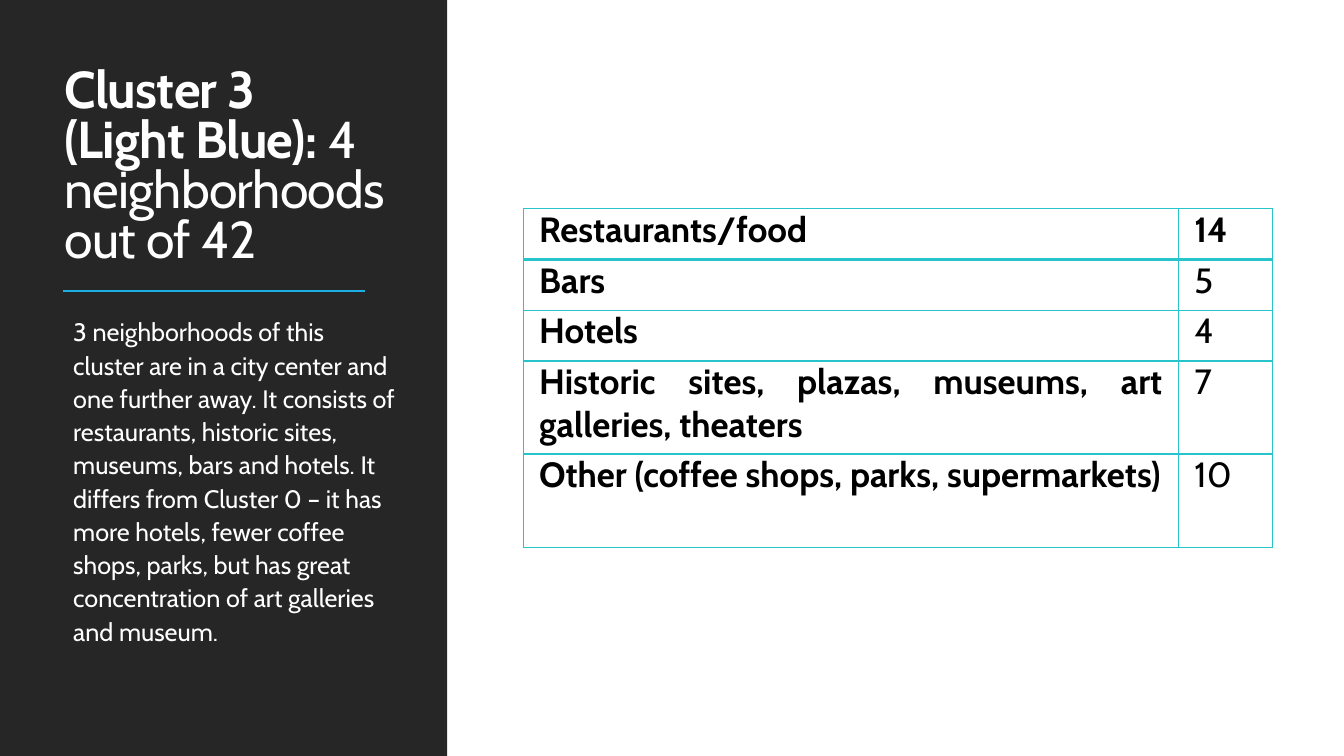
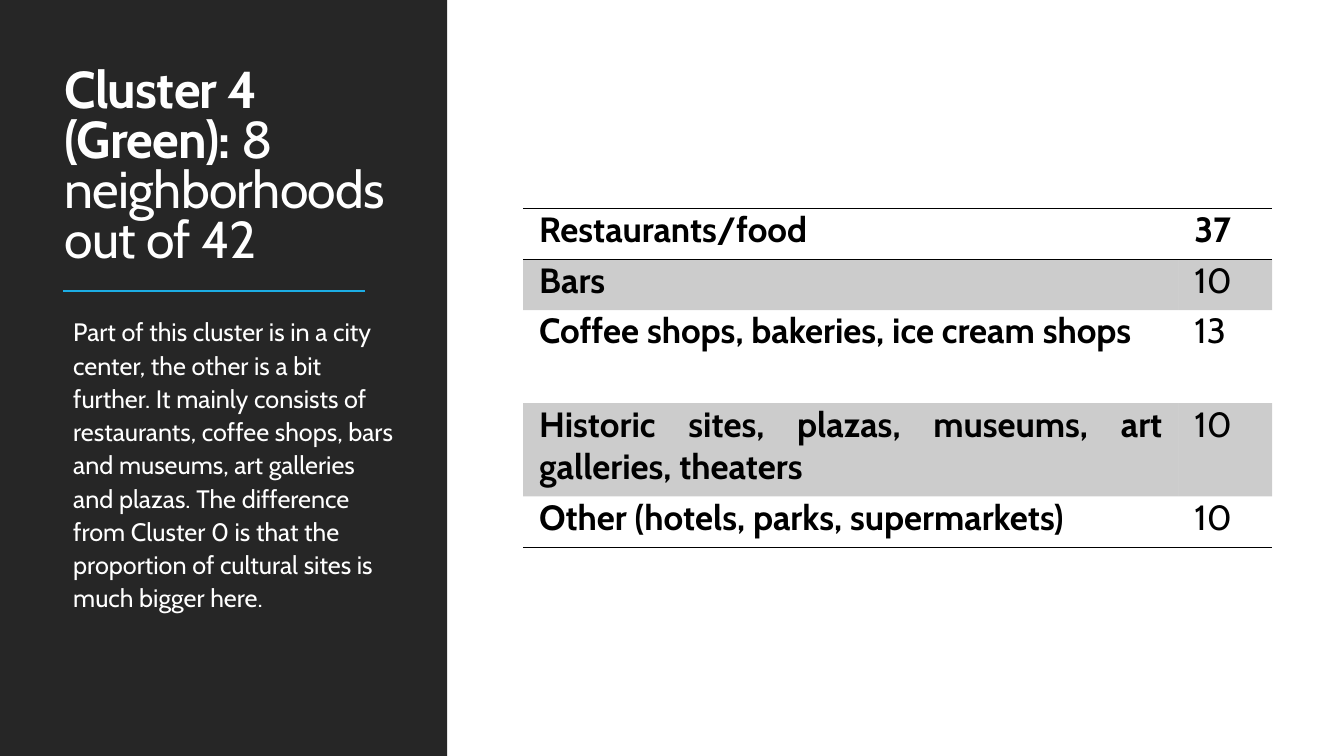
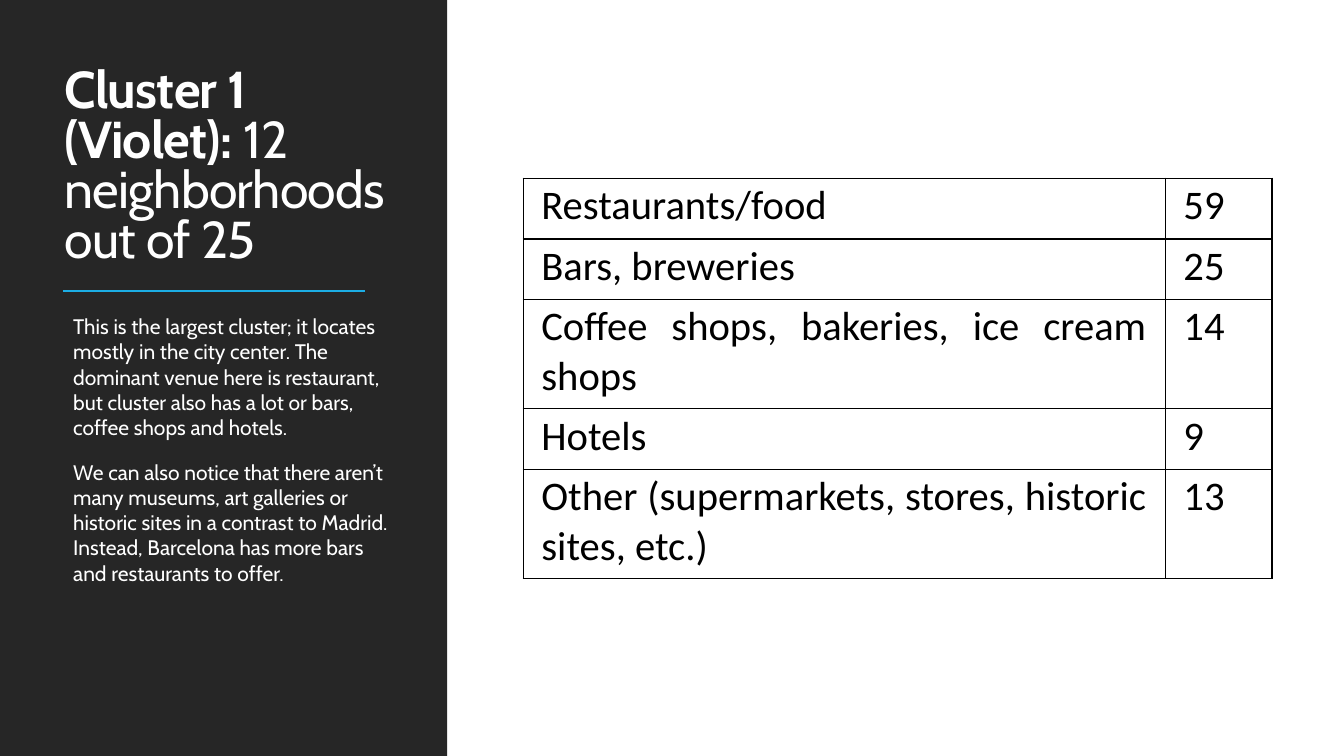
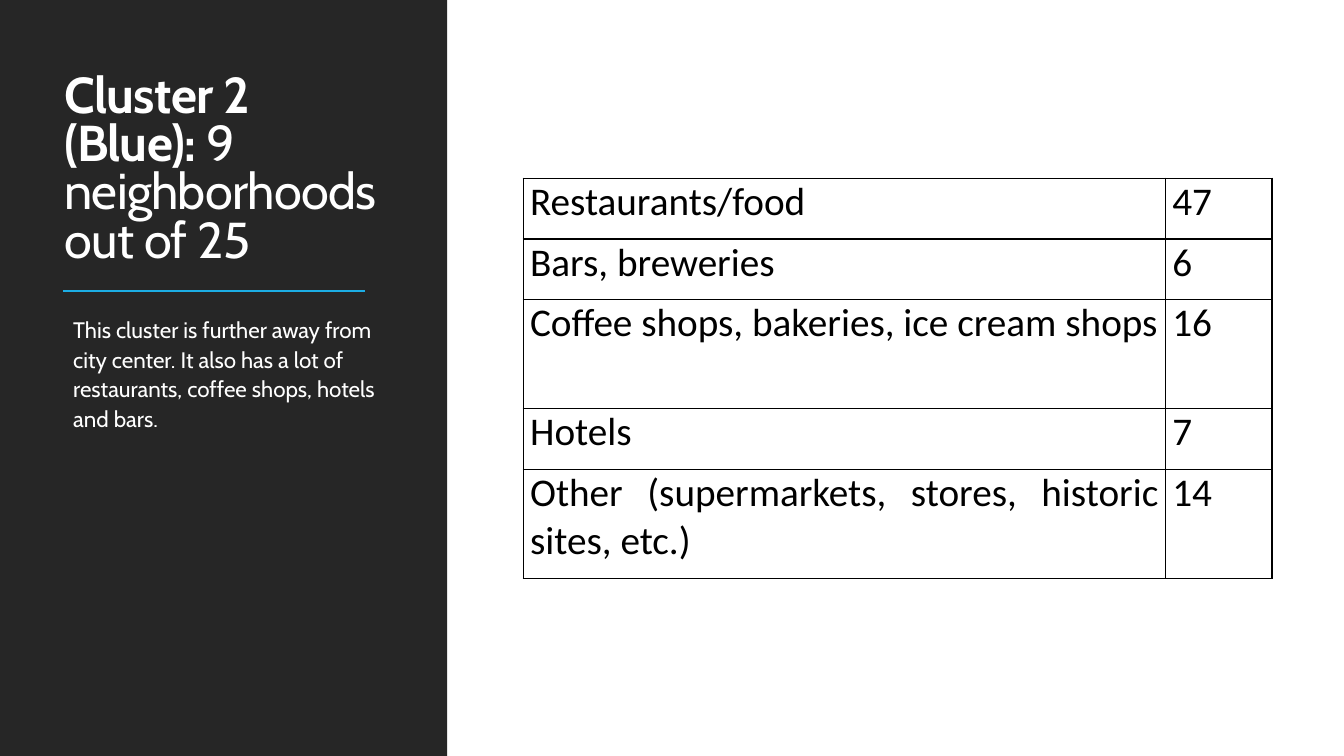
from dataclasses import dataclass

from lxml import etree
from pptx import Presentation
from pptx.dml.color import RGBColor
from pptx.enum.shapes import MSO_CONNECTOR, MSO_SHAPE
from pptx.enum.text import MSO_ANCHOR, PP_ALIGN
from pptx.oxml.ns import qn
from pptx.util import Pt

RECT = MSO_SHAPE.RECTANGLE
STRAIGHT = MSO_CONNECTOR.STRAIGHT
BOTTOM = MSO_ANCHOR.BOTTOM
JUSTIFY = PP_ALIGN.JUSTIFY


@dataclass(frozen=True)
class Theme:
    dark: str = "262626"
    white: str = "FFFFFF"
    black: str = "000000"
    accent: str = "1CADE4"
    teal: str = "28C4CC"
    font: str = "Cabin"
    plain_font: str = "Calibri"
    title_size: float = 37
    body_size: float = 18


@dataclass(frozen=True)
class TableStyle:
    top: float
    cols: tuple
    row_heights: tuple  # one-line row, two-line row
    size: float
    font: str
    margin: float
    margin_top: float = 0
    line: str = "000000"
    grid: bool = True
    header_line: float = 1
    bold: bool = False
    banded: bool = False


T = Theme()
TABLE_LEFT = 373.7
TEAL_GRID = TableStyle(149, (468, 67), (36.3, 66.5), 25, T.font, 11.5,
                       line=T.teal, header_line=2, bold=True)
BANDED = TableStyle(149, (468, 67), (36.3, 66.5), 25, T.font, 11.5,
                    grid=False, bold=True, banded=True)
BLACK_GRID = TableStyle(127.4, (458.7, 76.3), (43.3, 77.9), 29, T.plain_font, 13, 2)
TIGHT_GRID = TableStyle(127.4, (458.7, 76.3), (43.3, 77.9), 28, T.plain_font, 5)


def rgb(value):
    return RGBColor.from_string(value)


def set_font(p, name, size, color):
    p.font.name = name
    p.font.size = Pt(size)
    p.font.color.rgb = rgb(color)


def add_text_frame(s, left, top, width, height, margins):
    tf = s.shapes.add_textbox(Pt(left), Pt(top), Pt(width), Pt(height)).text_frame
    tf.word_wrap = True
    tf.margin_left, tf.margin_top, tf.margin_right, tf.margin_bottom = map(Pt, margins)
    return tf


def add_panel(s):
    """Dark side panel with the accent rule."""
    sp = s.shapes.add_shape(RECT, 0, 0, Pt(319.5), Pt(540))
    sp.shadow.inherit = False
    sp.fill.solid()
    sp.fill.fore_color.rgb = rgb(T.dark)
    sp.line.fill.background()
    rule = s.shapes.add_connector(STRAIGHT, Pt(45), Pt(208), Pt(261), Pt(208))
    rule.line.color.rgb = rgb(T.accent)
    rule.line.width = Pt(1.5)
    etree.SubElement(rule._element.spPr, qn("a:effectLst"))


def add_title(s, name, color_label, count, size):
    tf = add_text_frame(s, 39, 41, 243, 154, (7.2, 3.6, 0, 3.6))
    tf.vertical_anchor = BOTTOM
    p = tf.paragraphs[0]
    p.line_spacing = 0.8
    set_font(p, T.font, size, T.white)

    def add_run(text, bold):
        r = p.add_run()
        r.text = text
        r.font.bold = bold
        r._r.get_or_add_rPr().set("spc", "-50")

    add_run(name, True)
    p.add_line_break()
    add_run(color_label, True)
    add_run(count, False)


def add_body(s, texts, size, spacing):
    tf = add_text_frame(s, 45.2, 220.5, 237, 251, (7.2, 3.6, 0, 3.6))
    for i, text in enumerate(texts):
        p = tf.add_paragraph() if i else tf.paragraphs[0]
        p.text = text
        p.line_spacing = spacing
        p.space_before = Pt(12)
        p.space_after = Pt(2)
        set_font(p, T.font, size, T.white)


def set_borders(cell, color, widths):
    """widths: points by side; a missing side gets no line."""
    tc_pr = cell._tc.get_or_add_tcPr()
    for side in "LRTB":
        width = widths.get(side, 0)
        ln = etree.SubElement(tc_pr, qn("a:ln" + side), w=str(Pt(width)))
        if width:
            fill = etree.SubElement(ln, qn("a:solidFill"))
            etree.SubElement(fill, qn("a:srgbClr"), val=color)
        else:
            etree.SubElement(ln, qn("a:noFill"))


def border_widths(style, row, last):
    if style.grid:
        widths = dict.fromkeys("LRTB", 1)
    else:
        widths = {"T": 1} if row == 0 else {"B": 1} if row == last else {}
    if row == 0:
        widths["B"] = style.header_line
    elif row == 1:
        widths["T"] = style.header_line
    return widths


def fill_cell(cell, shaded):
    if not shaded:
        cell.fill.background()
        return
    cell.fill.solid()
    cell.fill.fore_color.rgb = rgb(T.black)
    color = cell._tc.tcPr.find(qn("a:solidFill")).find(qn("a:srgbClr"))
    etree.SubElement(color, qn("a:alpha"), val="20000")


def add_venue_table(s, style, rows, tall_rows):
    heights = [style.row_heights[i in tall_rows] for i in range(len(rows))]
    table = s.shapes.add_table(len(rows), 2, Pt(TABLE_LEFT), Pt(style.top),
                               Pt(sum(style.cols)), Pt(sum(heights))).table
    table.first_row = table.horz_banding = False
    for col, width in zip(table.columns, style.cols):
        col.width = Pt(width)
    for i, (values, height) in enumerate(zip(rows, heights)):
        table.rows[i].height = Pt(height)
        for j, value in enumerate(values):
            cell = table.cell(i, j)
            cell.margin_left = cell.margin_right = Pt(style.margin)
            cell.margin_top, cell.margin_bottom = Pt(style.margin_top), 0
            p = cell.text_frame.paragraphs[0]
            p.text = str(value)
            p.alignment = JUSTIFY
            set_font(p, style.font, style.size, T.black)
            p.font.bold = style.bold and (i == 0 or j == 0)
            set_borders(cell, style.line, border_widths(style, i, len(rows) - 1))
            fill_cell(cell, style.banded and i % 2 == 1)


def add_cluster_slide(prs, title, texts, style, rows, tall_rows,
                      title_size=T.title_size, body_size=T.body_size, spacing=1.1):
    s = prs.slides.add_slide(prs.slide_layouts[6])
    add_panel(s)
    add_title(s, *title, title_size)
    add_body(s, texts, body_size, spacing)
    add_venue_table(s, style, rows, tall_rows)


def main():
    prs = Presentation()
    prs.slide_width, prs.slide_height = Pt(960), Pt(540)

    # Cluster 3
    add_cluster_slide(
        prs, ("Cluster 3", "(Light Blue):", " 4 neighborhoods out of 42"),
        ["3 neighborhoods of this cluster are in a city center and one further away. "
         "It consists of restaurants, historic sites, museums, bars and hotels. "
         "It differs from Cluster 0 – it has more hotels, fewer coffee shops, parks, "
         "but has great concentration of art galleries and museum."],
        TEAL_GRID,
        [("Restaurants/food", 14), ("Bars", 5), ("Hotels", 4),
         ("Historic sites, plazas, museums, art galleries, theaters", 7),
         ("Other (coffee shops, parks, supermarkets)", 10)],
        tall_rows=(3, 4))

    # Cluster 4
    add_cluster_slide(
        prs, ("Cluster 4", "(Green):", " 8 neighborhoods out of 42"),
        ["Part of this cluster is in a city center, the other is a bit further. "
         "It mainly consists of restaurants, coffee shops, bars and museums, "
         "art galleries and plazas. The difference from Cluster 0 is that the "
         "proportion of cultural sites is much bigger here."],
        BANDED,
        [("Restaurants/food", 37), ("Bars", 10),
         ("Coffee shops, bakeries, ice cream shops", 13),
         ("Historic sites, plazas, museums, art galleries, theaters", 10),
         ("Other (hotels, parks, supermarkets)", 10)],
        tall_rows=(2, 3))

    # Clusters 1 and 2 count the same venue types
    venues = ("Restaurants/food", "Bars, breweries",
              "Coffee shops, bakeries, ice cream shops", "Hotels",
              "Other (supermarkets, stores, historic sites, etc.)")
    add_cluster_slide(
        prs, ("Cluster 1", "(Violet):", " 12 neighborhoods out of 25"),
        ["This is the largest cluster; it locates mostly in the city center. "
         "The dominant venue here is restaurant, but cluster also has a lot or bars, "
         "coffee shops and hotels.",
         "We can also notice that there aren’t many museums, art galleries or "
         "historic sites in a contrast to Madrid. Instead, Barcelona has more bars "
         "and restaurants to offer."],
        BLACK_GRID, list(zip(venues, (59, 25, 14, 9, 13))),
        tall_rows=(2, 4), body_size=15, spacing=1.0)
    add_cluster_slide(
        prs, ("Cluster 2", "(Blue):", " 9 neighborhoods out of 25"),
        ["This cluster is further away from city center. It also has a lot of "
         "restaurants, coffee shops, hotels and bars."],
        TIGHT_GRID, list(zip(venues, (47, 6, 16, 7, 14))),
        tall_rows=(2, 4), title_size=36, body_size=16)

    prs.save("out.pptx")


if __name__ == "__main__":
    main()
